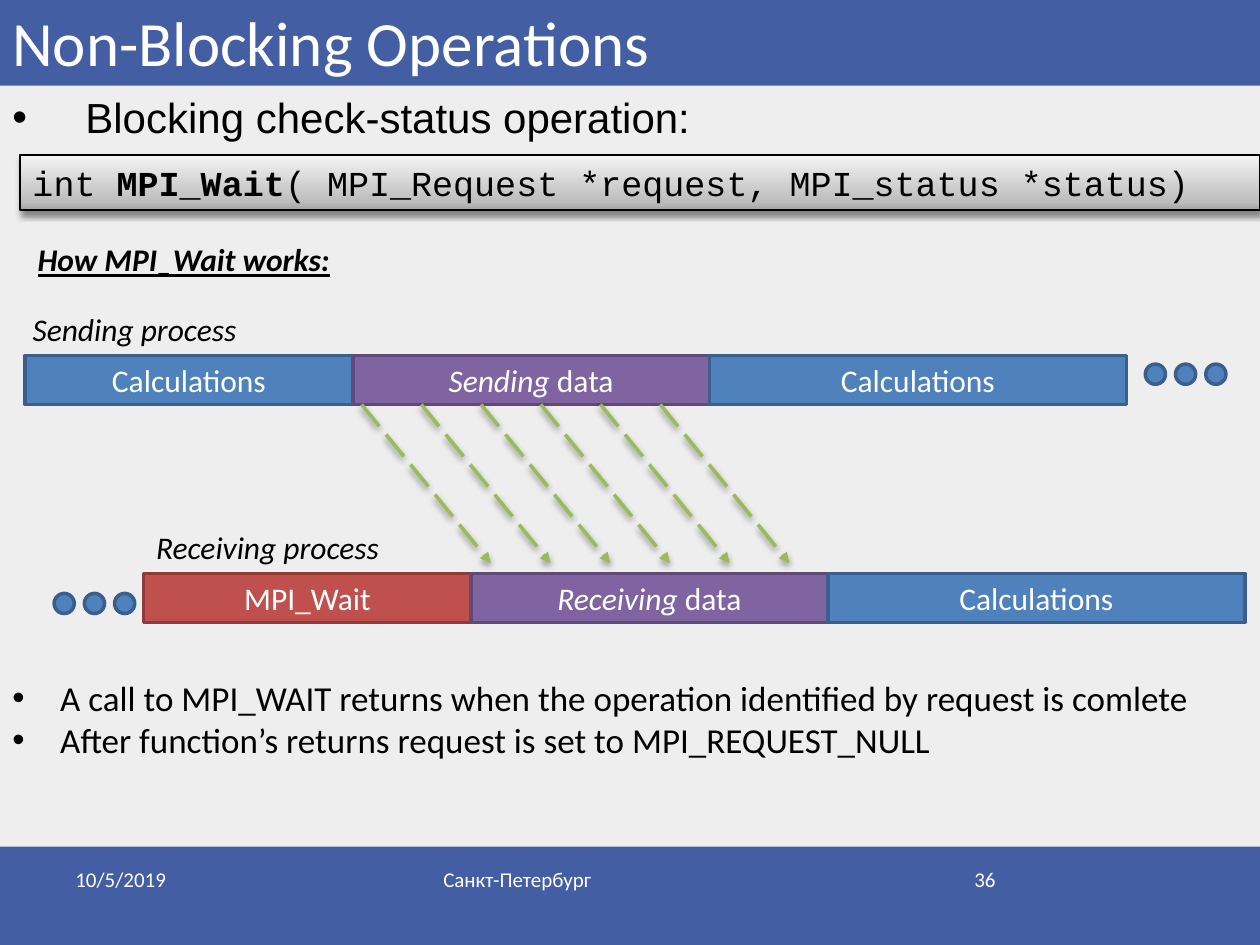
from dataclasses import dataclass
from typing import Optional

from lxml.etree import SubElement
from pptx import Presentation
from pptx.dml.color import RGBColor
from pptx.enum.dml import MSO_LINE
from pptx.enum.shapes import MSO_CONNECTOR, MSO_SHAPE
from pptx.enum.text import MSO_ANCHOR, PP_ALIGN
from pptx.oxml.ns import qn
from pptx.util import Emu, Inches, Pt

COLUMNS = 100
ROWS = 75
COLORS = {
    "background": "EEEEEE", "band": "445EA4", "white": "FFFFFF", "black": "000000",
    "blue": "4F81BD", "blue edge": "3A5F8C",
    "purple": "8064A2", "purple edge": "5F4A78",
    "red": "C0504D", "red edge": "8E3B39", "green": "9BBB59",
}
CODE_GRADIENT = ((0, "A2A2A2"), (15, "BDBDBD"), (100, "F4F4F4"))

deck = Presentation()
deck.slide_width, deck.slide_height = Inches(10), Inches(7.5)
page = deck.slides.add_slide(deck.slide_layouts[6])


@dataclass(frozen=True)
class Area:
    column: float
    row: float
    columns: float
    rows: float

    def lengths(self) -> tuple[Emu, ...]:
        return (across(self.column), down(self.row), across(self.columns), down(self.rows))


@dataclass(frozen=True)
class Span:
    text: str
    bold: Optional[bool] = None
    italic: Optional[bool] = None


@dataclass(frozen=True)
class Style:
    size: float
    color: str = "black"
    font: str = "Calibri"
    align: PP_ALIGN = PP_ALIGN.LEFT
    anchor: MSO_ANCHOR = MSO_ANCHOR.TOP
    underline: Optional[bool] = None
    bullet_columns: float = 0
    wrap: bool = True


@dataclass(frozen=True)
class Stage:
    spans: tuple[Span, ...]
    color: str


@dataclass(frozen=True)
class Lane:
    column: float
    row: float
    dots_column: float
    dots_row: float
    stages: tuple[Stage, ...]


def across(columns: float) -> Emu:
    return Emu(round(deck.slide_width * columns / COLUMNS))


def down(rows: float) -> Emu:
    return Emu(round(deck.slide_height * rows / ROWS))


def rgb(name: str) -> RGBColor:
    return RGBColor.from_string(COLORS[name])


def write(shape, lines: tuple[tuple[Span, ...], ...], style: Style) -> None:
    frame = shape.text_frame
    frame.word_wrap = style.wrap
    frame.vertical_anchor = style.anchor
    for index, spans in enumerate(lines):
        para = frame.add_paragraph() if index else frame.paragraphs[0]
        para.alignment = style.align
        if style.bullet_columns:
            indent = across(style.bullet_columns)
            properties = para._p.get_or_add_pPr()
            properties.set("marL", str(indent))
            properties.set("indent", str(-indent))
            SubElement(properties, qn("a:buFont"), typeface="Arial")
            SubElement(properties, qn("a:buChar"), char="•")
        para.font.name = style.font
        para.font.size = Pt(style.size)
        para.font.color.rgb = rgb(style.color)
        para.font.underline = style.underline
        for span in spans:
            run = para.add_run()
            run.text = span.text
            run.font.bold = span.bold
            run.font.italic = span.italic


def add_text(area: Area, style: Style, *lines: Span) -> None:
    box = page.shapes.add_textbox(*area.lengths())
    write(box, tuple((line,) for line in lines), style)


def add_block(area: Area, color: str, edge: Optional[str] = None,
              preset: MSO_SHAPE = MSO_SHAPE.RECTANGLE, weight: float = 2):
    block = page.shapes.add_shape(preset, *area.lengths())
    block.shadow.inherit = False
    block.fill.solid()
    block.fill.fore_color.rgb = rgb(color)
    if edge:
        block.line.color.rgb = rgb(edge)
        block.line.width = Pt(weight)
    else:
        block.line.fill.background()
    return block


def add_shadow(effects) -> None:
    shadow = SubElement(effects, qn("a:outerShdw"), blurRad=str(Pt(4)), dist=str(Pt(2)),
                        dir="5400000", rotWithShape="0")
    color = SubElement(shadow, qn("a:srgbClr"), val=COLORS["black"])
    SubElement(color, qn("a:alpha"), val="43000")


def add_code(area: Area, spans: tuple[Span, ...]) -> None:
    block = add_block(area, "white", "black", weight=1)
    block.fill.gradient()
    block.fill.gradient_angle = 90
    properties = block._element.spPr
    stops = properties.find(".//" + qn("a:gsLst"))
    stops.clear()
    for position, color in CODE_GRADIENT:
        stop = SubElement(stops, qn("a:gs"), pos=str(position * 1000))
        SubElement(stop, qn("a:srgbClr"), val=color)
    add_shadow(properties.find(qn("a:effectLst")))
    write(block, (spans,), Style(20, font="Courier New"))


def add_message(column: float) -> None:
    arrow = page.shapes.add_connector(MSO_CONNECTOR.STRAIGHT, across(column), down(32.1),
                                      across(column + 10.25), down(44.7))
    arrow.line.color.rgb = rgb("green")
    arrow.line.width = Pt(2)
    arrow.line.dash_style = MSO_LINE.LONG_DASH
    properties = arrow._element.spPr
    SubElement(properties.find(qn("a:ln")), qn("a:tailEnd"), type="triangle")
    add_shadow(SubElement(properties, qn("a:effectLst")))


def add_lane(lane: Lane) -> None:
    style = Style(18, "white", align=PP_ALIGN.CENTER, anchor=MSO_ANCHOR.MIDDLE)
    column = lane.column
    for stage, columns in zip(lane.stages, (26, 28.3, 33.1)):
        block = add_block(Area(column, lane.row, columns, 3.9), stage.color, stage.color + " edge")
        write(block, (stage.spans,), style)
        column += columns
    for index in range(3):
        add_block(Area(lane.dots_column + 2.4 * index, lane.dots_row, 1.6, 1.6),
                  "blue", "blue edge", MSO_SHAPE.OVAL)


def main() -> None:
    page.background.fill.solid()
    page.background.fill.fore_color.rgb = rgb("background")
    add_block(Area(0, 67.2, COLUMNS, 7.8), "band")
    add_block(Area(0, 0, COLUMNS, 6.8), "band")
    add_text(Area(0, -2.1, COLUMNS, 8.9), Style(36, "white", anchor=MSO_ANCHOR.BOTTOM),
             Span("Non-Blocking Operations"))
    add_text(Area(5, 68.3, 23.3, 5.2), Style(12, "white"), Span("10/5/2019"))
    add_text(Area(71.7, 68.3, 8.3, 5.2), Style(12, "white", align=PP_ALIGN.RIGHT), Span("36"))
    add_text(Area(34.2, 68.3, 31.7, 5.2), Style(12, "white"), Span("Санкт-Петербург"))
    add_text(Area(0, 6.8, 100.7, 5.5), Style(24, font="Arial", bullet_columns=5.8),
             Span("Blocking check-status operation:"))
    add_code(Area(1.6, 12.3, 98.4, 4.4),
             (Span("int "), Span("MPI_Wait", bold=True),
              Span("( MPI_Request *request, MPI_status *status)")))
    add_text(Area(2, 18.6, 26.2, 4), Style(18, underline=True, wrap=False),
             Span("How MPI_Wait works:", bold=True, italic=True))

    label = Style(18, wrap=False)
    add_text(Area(1.6, 24.1, 18.9, 4), label, Span("Sending process", italic=True))
    add_text(Area(11.4, 41.4, 20.8, 4), label, Span("Receiving process", italic=True))
    calculations = Stage((Span("Calculations"),), "blue")
    sending = Stage((Span("Sending ", italic=True), Span("data")), "purple")
    receiving = Stage((Span("Receiving ", italic=True), Span("data")), "purple")
    waiting = Stage((Span("MPI_Wait"),), "red")
    add_lane(Lane(2, 28.2, 90.9, 28.9, (calculations, sending, calculations)))
    add_lane(Lane(11.4, 45.5, 4.3, 47.1, (waiting, receiving, calculations)))
    for index in range(6):
        add_message(28.7 + 4.74 * index)

    add_text(Area(0, 53.2, COLUMNS, 7.7), Style(20, bullet_columns=3.8),
             Span("A call to MPI_WAIT returns when the operation identified by request is comlete"),
             Span("After function’s returns request is set to MPI_REQUEST_NULL"))
    deck.save("out.pptx")


if __name__ == "__main__":
    main()
